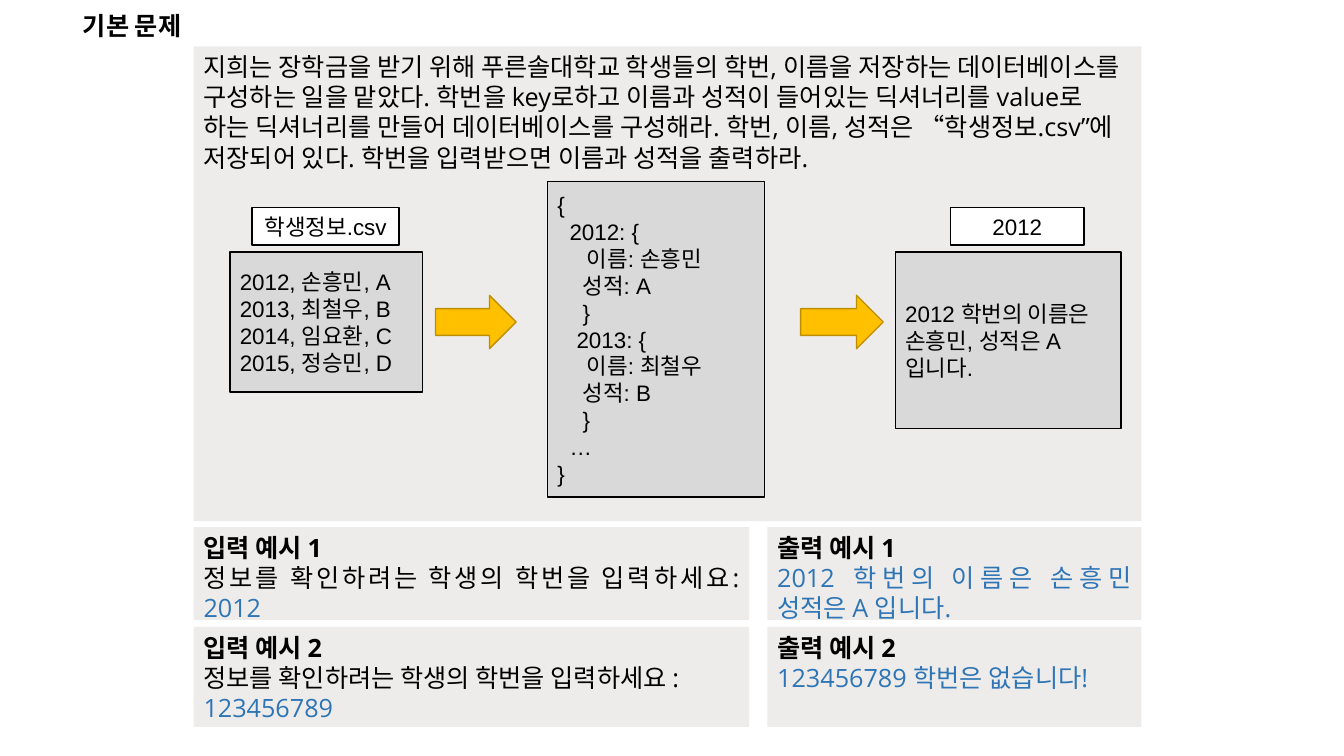
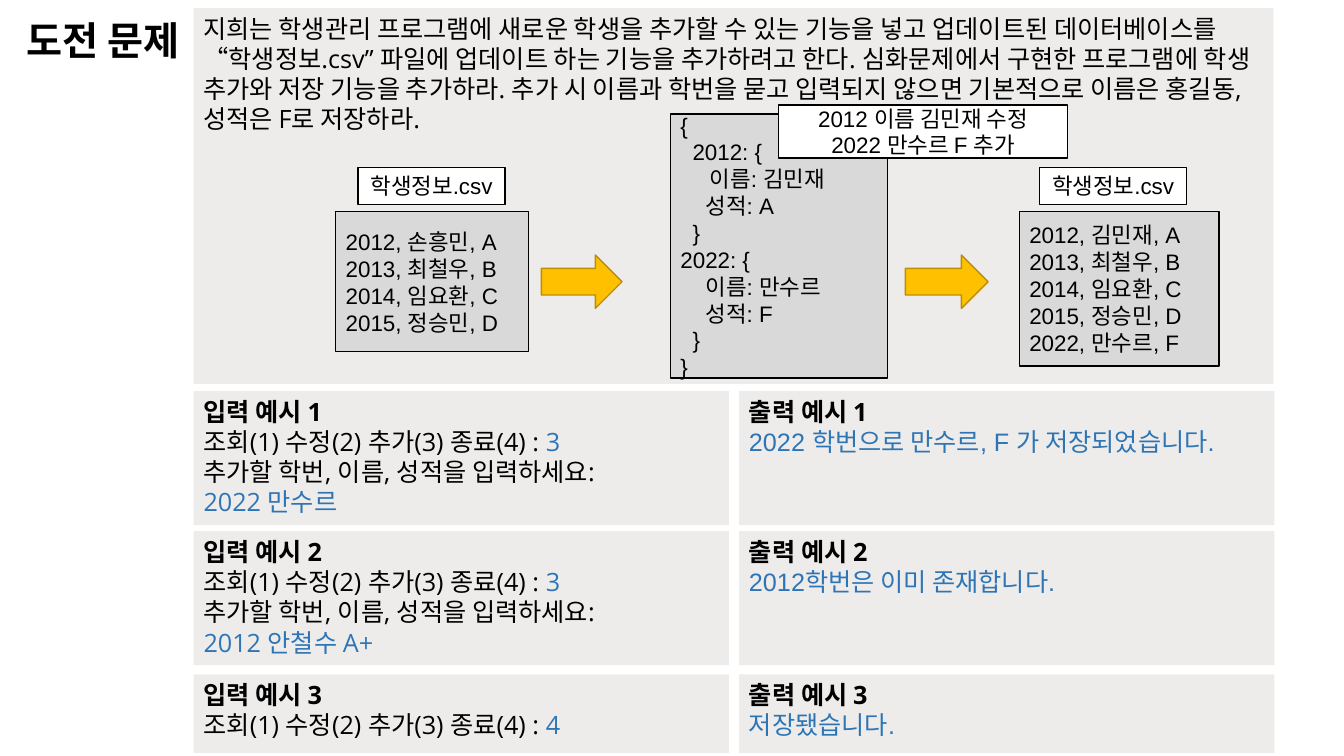
import collections
import dataclasses

import pptx
import pptx.dml.color
import pptx.enum.shapes
import pptx.enum.text
import pptx.util

SCALE = 9144
ALIGN = pptx.enum.text.PP_ALIGN
ANCHOR = pptx.enum.text.MSO_ANCHOR
PRESET = pptx.enum.shapes.MSO_SHAPE


@dataclasses.dataclass(frozen=True)
class Theme:
    """Colours, fonts and type sizes of the deck."""
    ink: str = "000000"
    answer: str = "2E75B6"
    panel: str = "EEECEB"
    card: str = "D9D9D9"
    label: str = "FFFFFF"
    arrow: str = "FFC000"
    arrow_edge: str = "BD8E00"
    body_font: str = "Open Sans"
    code_font: str = "Arial"
    title_font: str = "Noto Sans CJK KR"
    body_size: int = 18
    code_size: int = 16
    leading: float = 1.2


THEME = Theme()
Style = collections.namedtuple("Style", "font size colour bold")
Line = collections.namedtuple("Line", "spans align indent", defaults=(ALIGN.LEFT, 0))

BODY = Style(THEME.body_font, THEME.body_size, THEME.ink, False)
HEADING = BODY._replace(bold=True)
ANSWER = BODY._replace(colour=THEME.answer)
RESULT = ANSWER._replace(font=THEME.code_font)
CODE = Style(THEME.code_font, THEME.code_size, THEME.ink, False)


@dataclasses.dataclass(frozen=True)
class Box:
    """A rectangle in px."""
    left: int
    top: int
    width: int
    height: int

    def inner(self, left, top, width, height):
        """Return a box placed from this box's corner."""
        return Box(self.left + left, self.top + top, width, height)

    def emu(self):
        """Return the four lengths in EMU."""
        return [pptx.util.Emu(n * SCALE) for n in dataclasses.astuple(self)]


def rgb(colour):
    """Turn a hex string into a colour."""
    return pptx.dml.color.RGBColor.from_string(colour)


def add_span(para, text, style):
    """Add one run, with one font for Latin and Hangul titles alike."""
    span = para.add_run()
    span.text = text
    span.font.name = style.font
    span.font.size = pptx.util.Pt(style.size)
    span.font.bold = style.bold
    span.font.color.rgb = rgb(style.colour)
    hangul = span.font._element.makeelement(pptx.oxml.ns.qn("a:ea"), {"typeface": THEME.title_font})
    span.font._element.append(hangul)


def write(frame, lines, anchor=ANCHOR.TOP):
    """Fill a text frame with lines of styled spans."""
    frame.word_wrap = True
    frame.vertical_anchor = anchor
    for index, line in enumerate(lines):
        para = frame.add_paragraph() if index else frame.paragraphs[0]
        para.alignment = line.align
        para.line_spacing = pptx.util.Pt(line.spans[0][1].size * THEME.leading)
        if line.indent:
            para._p.get_or_add_pPr().set("marL", str(line.indent * SCALE))
        for text, style in line.spans:
            for part, piece in enumerate(text.split("\n")):
                if part:
                    para.add_line_break()
                if piece:
                    add_span(para, piece, style)


def add_block(page, box, fill, edge=None, preset=PRESET.RECTANGLE):
    """Draw a flat preset shape."""
    block = page.shapes.add_shape(preset, *box.emu())
    block.shadow.inherit = False
    block.fill.solid()
    block.fill.fore_color.rgb = rgb(fill)
    if edge:
        block.line.color.rgb = rgb(edge)
        block.line.width = pptx.util.Pt(1)
    else:
        block.line.fill.background()
    return block


def add_panel(page, box, lines):
    """Draw a borderless text panel."""
    write(add_block(page, box, THEME.panel).text_frame, lines)


def add_code(page, box, rows):
    """Draw a grey code box from pairs of indent and text."""
    lines = [Line([(text, CODE)], indent=indent) for indent, text in rows]
    write(add_block(page, box, THEME.card, THEME.ink).text_frame, lines, ANCHOR.MIDDLE)


def add_label(page, box, *texts):
    """Draw a white caption box."""
    lines = [Line([(text, CODE)], ALIGN.CENTER) for text in texts]
    write(add_block(page, box, THEME.label, THEME.ink).text_frame, lines, ANCHOR.MIDDLE)


def add_card(page, box, caption, caption_left, caption_width, rows):
    """Draw a code box with a caption above it."""
    add_code(page, box.inner(0, 44, box.width, box.height - 44), [(0, row) for row in rows])
    add_label(page, box.inner(caption_left, 0, caption_width, 37), caption)


def add_arrow(page, box):
    """Draw an arrow to the next step."""
    add_block(page, box, THEME.arrow, THEME.arrow_edge, PRESET.RIGHT_ARROW)


def add_title(page, box, text, size):
    """Write the slide title."""
    frame = page.shapes.add_textbox(*box.emu()).text_frame
    write(frame, [Line([(text, Style(THEME.title_font, size, THEME.ink, True))], ALIGN.CENTER)], ANCHOR.BOTTOM)
    frame.paragraphs[0].line_spacing = 0.9


def add_flow(page, box, code_box, code, arrow_left):
    """Draw the source file, the dictionary and the arrows after each."""
    add_card(page, box.inner(0, 0, 191, 183), "학생정보.csv", 22, 146, RECORDS)
    add_arrow(page, box.inner(204, 87, 80, 53))
    add_code(page, box.inner(*code_box), code)
    add_arrow(page, box.inner(arrow_left, 87, 82, 53))


def add_examples(page, box, columns, rows, examples):
    """Lay out numbered pairs of input and output panels."""
    for number, ((top, height), pair) in enumerate(zip(rows, examples), 1):
        for (left, width), kind, lines in zip(columns, ("입력", "출력"), pair):
            heading = Line([(f"{kind} 예시 {number}", HEADING)], ALIGN.JUSTIFY)
            add_panel(page, box.inner(left, top, width, height), [heading, *lines])


def justified(*spans):
    """Make a justified line."""
    return Line(spans, ALIGN.JUSTIFY)


def menu(choice):
    """Make the menu prompt with the chosen number."""
    return justified(("조회(1) 수정(2) 추가(3) 종료(4) : ", BODY), (choice, ANSWER))


def new_student(entry):
    """Make the prompt for a new student with its entry."""
    return Line([("추가할 학번, 이름, 성적을 입력하세요: \n", BODY), (entry, ANSWER)])


RECORDS = ["2012, 손흥민, A", "2013, 최철우, B", "2014, 임요환, C", "2015, 정승민, D"]

BASIC_TASK = (
    "지희는 장학금을 받기 위해 푸른솔대학교 학생들의 학번, 이름을 저장하는 데이터베이스를 구성하는 일을 맡았다. "
    "학번을 key로하고 이름과 성적이 들어있는 딕셔너리를 value로 하는 딕셔너리를 만들어 데이터베이스를 구성해라. "
    "학번, 이름, 성적은 “학생정보.csv”에 저장되어 있다. 학번을 입력받으면 이름과 성적을 출력하라."
)
BASIC_CODE = [
    (0, "{"), (12, "2012: {"), (29, "이름: 손흥민"), (25, "성적: A"), (25, "}"),
    (19, "2013: {"), (29, "이름: 최철우"), (25, "성적: B"), (25, "}"), (12, "…"), (0, "}"),
]
BASIC_EXAMPLES = [
    ([justified(("정보를 확인하려는 학생의 학번을 입력하세요:\n", BODY), ("2012", ANSWER))],
     [justified(("2012 학번의 이름은 손흥민 성적은 A 입니다.", ANSWER))]),
    ([justified(("정보를 확인하려는 학생의 학번을 입력하세요 : ", BODY)), justified(("123456789", ANSWER))],
     [justified(("123456789 학번은 없습니다!", ANSWER))]),
]

CHALLENGE_TASK = (
    "지희는 학생관리 프로그램에 새로운 학생을 추가할 수 있는 기능을 넣고 업데이트된 데이터베이스를 "
    "“학생정보.csv” 파일에 업데이트 하는 기능을 추가하려고 한다. 심화문제에서 구현한 프로그램에 "
    "학생 추가와 저장 기능을 추가하라. 추가 시 이름과 학번을 묻고 입력되지 않으면 기본적으로 이름은 "
    "홍길동, 성적은 F로 저장하라."
)
CHALLENGE_CODE = [
    (0, "{"), (12, "2012: {"), (29, "이름: 김민재"), (25, "성적: A"), (12, "}"),
    (0, "2022: {"), (25, "이름: 만수르"), (25, "성적: F"), (12, "}"), (0, "}"),
]
CHALLENGE_EXAMPLES = [
    ([menu("3"), new_student("2022 만수르")], [Line([("2022 학번으로 만수르, F 가 저장되었습니다.", RESULT)])]),
    ([menu("3"), new_student("2012 안철수 A+")], [Line([("2012학번은 이미 존재합니다.", RESULT)])]),
    ([menu("4")], [Line([("저장됐습니다.", RESULT)])]),
]


def build_basic(page):
    """Build the basic problem slide."""
    task = Box(192, 46, 940, 471)
    add_panel(page, task, [Line([(BASIC_TASK, BODY)])])
    add_title(page, Box(12, 5, 238, 41), "기본 문제", 18)
    add_flow(page, task.inner(36, 160, 884, 313), (315, -26, 215, 313), BASIC_CODE, 566)
    add_card(page, task.inner(696, 160, 224, 219), "2012", 55, 132,
             ["2012 학번의 이름은 손흥민, 성적은 A 입니다."])
    add_examples(page, Box(192, 523, 940, 198), [(0, 551), (569, 371)],
                 [(0, 92), (99, 99)], BASIC_EXAMPLES)


def build_challenge(page):
    """Build the challenge problem slide."""
    task = Box(192, 8, 1071, 373)
    add_title(page, Box(-17, 8, 238, 60), "도전 문제", 28)
    add_panel(page, task, [Line([(CHALLENGE_TASK, BODY)])])
    add_flow(page, task.inner(141, 158, 876, 209), (332, -53, 215, 262), CHALLENGE_CODE, 565)
    add_label(page, task.inner(580, 96, 287, 53), "2012 이름 김민재 수정", "2022 만수르 F 추가")
    add_card(page, task.inner(819, 158, 198, 197), "학생정보.csv", 20, 146,
             ["2012, 김민재, A", *RECORDS[1:], "2022, 만수르, F"])
    add_examples(page, Box(192, 388, 1072, 359), [(0, 531), (541, 531)],
                 [(0, 133), (139, 133), (281, 78)], CHALLENGE_EXAMPLES)


def main():
    """Build and save the deck."""
    deck = pptx.Presentation()
    deck.slide_width = pptx.util.Emu(1333 * SCALE)
    deck.slide_height = pptx.util.Emu(750 * SCALE)
    for build in (build_basic, build_challenge):
        build(deck.slides.add_slide(deck.slide_layouts[6]))
    deck.save("out.pptx")


if __name__ == "__main__":
    main()
